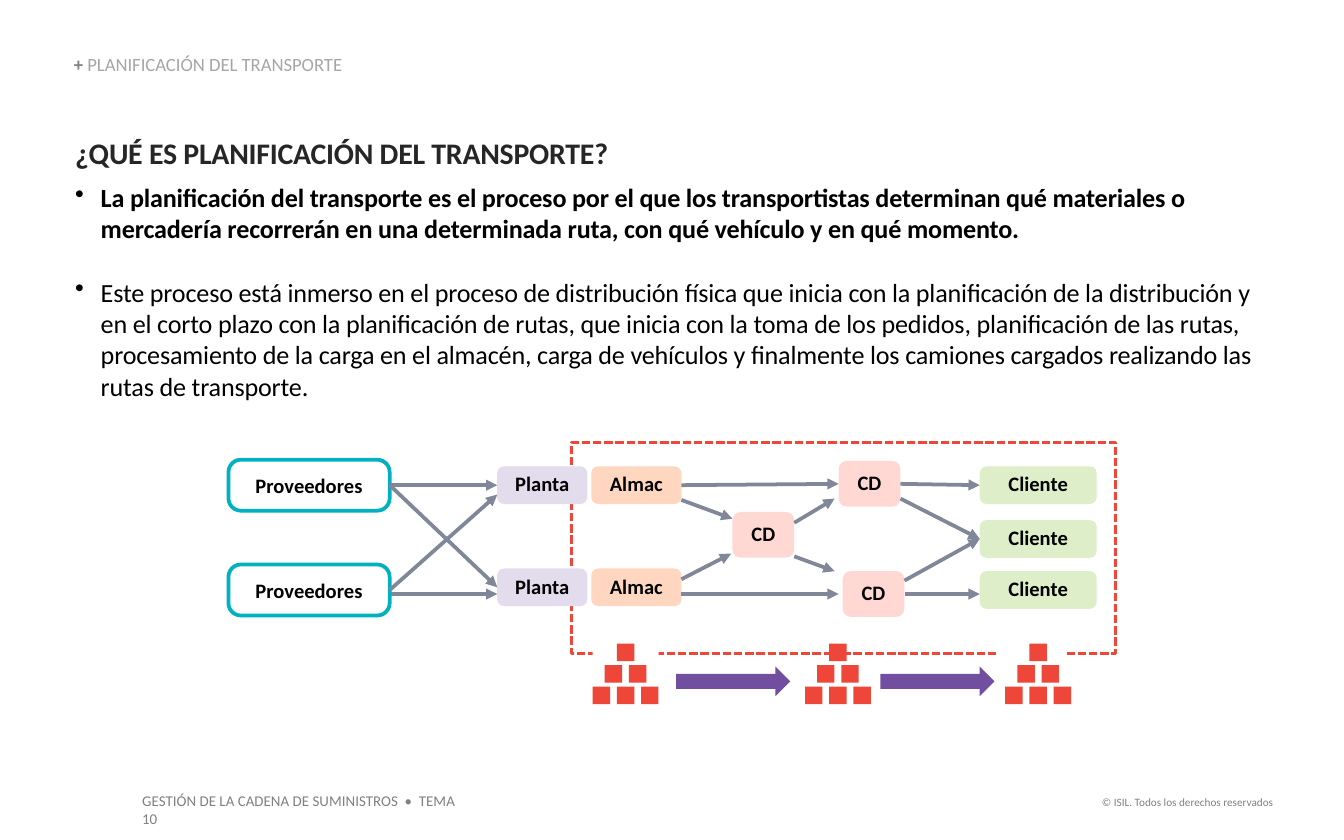
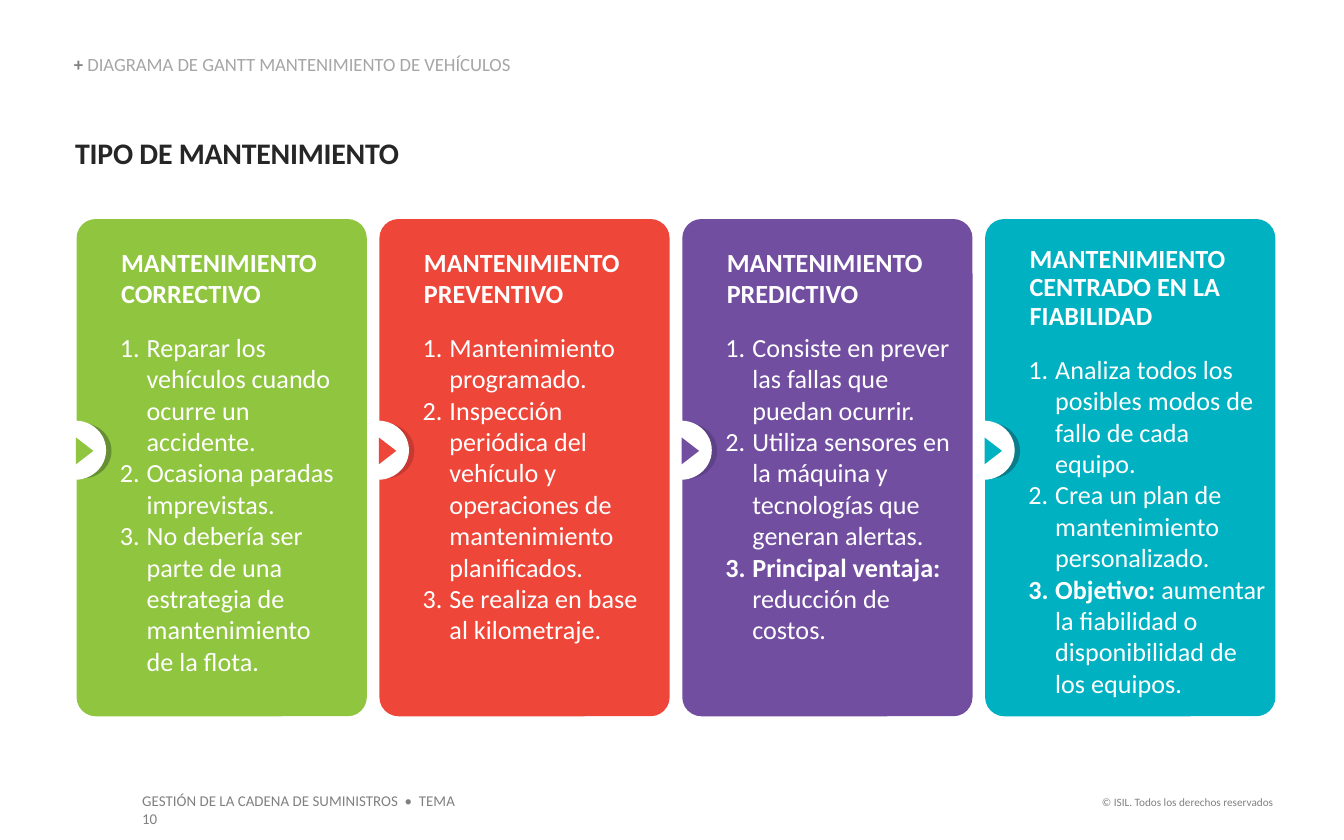
from dataclasses import dataclass
from typing import Optional, Union

from lxml.etree import SubElement
from pptx import Presentation
from pptx.dml.color import RGBColor
from pptx.enum.dml import MSO_LINE
from pptx.enum.shapes import MSO_CONNECTOR, MSO_SHAPE
from pptx.enum.text import MSO_ANCHOR, PP_ALIGN
from pptx.oxml.ns import qn
from pptx.util import Inches, Pt


@dataclass(frozen=True)
class Theme:
    font: str = "Calibri"
    white: str = "FFFFFF"
    black: str = "000000"
    title: str = "262626"
    grey: str = "808080"
    light_grey: str = "A6A6A6"
    red: str = "EE4639"
    purple: str = "714EA0"
    teal: str = "00B1C2"
    green: str = "8FC53F"
    link: str = "808799"
    plant: str = "E3DCED"
    store: str = "FFD7C1"
    center: str = "FFD8D4"
    client: str = "DDEEC8"
    title_size: float = 16
    body_size: float = 14
    node_size: float = 11
    header_size: float = 10
    footer_size: float = 8
    copyright_size: float = 6


THEME = Theme()


@dataclass(frozen=True)
class Node:
    label: str
    left: float
    top: float
    width: float
    height: float
    fill: str
    line: Optional[str] = None
    rounding: float = 0.18
    line_spacing: float = 0.9


# A link end is a node name (middle of its side) or a free point
End = Union[str, tuple[float, float]]


@dataclass(frozen=True)
class Link:
    start: End
    end: End


@dataclass(frozen=True)
class Item:
    text: str
    lead: str = ""


@dataclass(frozen=True)
class Card:
    title: str
    fill: str
    shade: str
    items: tuple[Item, ...]
    title_spacing: float = 1.0


def supplier(top: float) -> Node:
    return Node("Proveedores", 1.7, top, 1.2, 0.38, THEME.white, THEME.teal, 0.245, 1.0)


def plant(top: float) -> Node:
    return Node("Planta", 3.7, top, 0.67, 0.28, THEME.plant)


def store(top: float) -> Node:
    return Node("Almac", 4.4, top, 0.67, 0.28, THEME.store)


def center(left: float, top: float) -> Node:
    return Node("CD", left, top, 0.46, 0.34, THEME.center)


def client(top: float) -> Node:
    return Node("Cliente", 7.29, top, 0.87, 0.28, THEME.client)


NODES = {
    "supplier_1": supplier(3.42), "supplier_2": supplier(4.2),
    "plant_1": plant(3.47), "plant_2": plant(4.23),
    "store_1": store(3.47), "store_2": store(4.23),
    "center_top": center(6.24, 3.43), "center_bottom": center(6.27, 4.25),
    "center_middle": center(5.45, 3.81),
    "client_1": client(3.47), "client_2": client(3.87), "client_3": client(4.25),
}

LINKS = (
    Link("supplier_1", "plant_1"),
    Link("supplier_1", "plant_2"),
    Link("supplier_2", (3.7, 3.68)),
    Link((2.91, 4.42), (3.7, 4.42)),
    Link("store_1", "center_top"),
    Link((5.07, 3.72), (5.45, 3.86)),
    Link((5.07, 4.31), (5.44, 4.12)),
    Link((5.07, 4.42), (6.24, 4.42)),
    Link((5.91, 3.89), (6.21, 3.71)),
    Link((5.91, 4.14), (6.21, 4.25)),
    Link("center_top", "client_1"),
    Link((6.7, 3.71), "client_2"),
    Link((6.73, 4.32), "client_2"),
    Link("center_bottom", (7.29, 4.42)),
)

CARDS = (
    Card("MANTENIMIENTO CORRECTIVO", THEME.green, "668E32", (
        Item("Reparar los vehículos cuando ocurre un accidente."),
        Item("Ocasiona paradas imprevistas."),
        Item("No debería ser parte de una estrategia de mantenimiento \nde la flota."))),
    Card("MANTENIMIENTO PREVENTIVO", THEME.red, "C73931", (
        Item("Mantenimiento programado."),
        Item("Inspección periódica del vehículo y operaciones de mantenimiento planificados."),
        Item("Se realiza en base \nal kilometraje."))),
    Card("MANTENIMIENTO PREDICTIVO", THEME.purple, "5E4287", (
        Item("Consiste en prever las fallas que puedan ocurrir."),
        Item("Utiliza sensores en la máquina y tecnologías que generan alertas."),
        Item("reducción de costos.", "Principal ventaja: "))),
    Card("MANTENIMIENTO CENTRADO EN LA FIABILIDAD", THEME.teal, "0B7C8A", (
        Item("Analiza todos los posibles modos de fallo de cada equipo."),
        Item("Crea un plan de mantenimiento personalizado."),
        Item("aumentar la fiabilidad o disponibilidad de los equipos.", "Objetivo: ")), 0.9),
)
CARD_LEFT, CARD_TOP, CARD_PITCH = 0.57, 1.63, 6.76 / 3


# Text helpers
def format_run(run, size: float, color: str, bold: bool = False, spacing: int = 0) -> None:
    run.font.name = THEME.font
    run.font.size = Pt(size)
    run.font.bold = bold
    run.font.color.rgb = RGBColor.from_string(color)
    if spacing:
        run._r.get_or_add_rPr().set("spc", str(spacing))


def set_text(paragraph, text: str, size: float, color: str, bold: bool = False,
             spacing: int = 0) -> None:
    paragraph.text = text
    for run in paragraph.runs:
        format_run(run, size, color, bold, spacing)
    for line_break in paragraph._p.findall(qn("a:br")):
        SubElement(line_break, qn("a:rPr")).set("sz", str(int(size * 100)))


def set_indent(paragraph, left: float, first: float = 0) -> None:
    properties = paragraph._p.get_or_add_pPr()
    properties.set("marL", str(Inches(left)))
    properties.set("indent", str(Inches(first)))


def set_bullet(paragraph, tag: str, attribute: str, value: str) -> None:
    SubElement(paragraph._p.get_or_add_pPr(), qn(tag)).set(attribute, value)


def add_text_frame(slide, left: float, top: float, width: float, height: float,
                   inset: bool = False):
    box = slide.shapes.add_textbox(Inches(left), Inches(top), Inches(width), Inches(height))
    frame = box.text_frame
    frame.word_wrap = True
    if not inset:
        frame.margin_left = frame.margin_right = frame.margin_top = frame.margin_bottom = 0
    return frame


# Shape helper
def add_shape(shapes, kind: MSO_SHAPE, left: float, top: float, width: float, height: float,
              fill: Optional[str], line: Optional[str] = None, line_width: float = 2):
    shape = shapes.add_shape(kind, Inches(left), Inches(top), Inches(width), Inches(height))
    shape.shadow.inherit = False
    if fill:
        shape.fill.solid()
        shape.fill.fore_color.rgb = RGBColor.from_string(fill)
    else:
        shape.fill.background()
    if line:
        shape.line.color.rgb = RGBColor.from_string(line)
        shape.line.width = Pt(line_width)
    else:
        shape.line.fill.background()
    return shape


# Shared frame of every slide: footers, header and title
def add_slide(presentation, header: str, title: str, body_height: float):
    slide = presentation.slides.add_slide(presentation.slide_layouts[6])
    rights = add_text_frame(slide, 7.88, 5.87, 1.69, 0.2, inset=True).paragraphs[0]
    set_text(rights, "© ISIL. Todos los derechos reservados", THEME.copyright_size, THEME.grey)
    rights.alignment = PP_ALIGN.RIGHT
    course = add_text_frame(slide, 0.96, 5.84, 2.66, 0.24, inset=True).paragraphs[0]
    set_text(course, "GESTIÓN DE LA CADENA DE SUMINISTROS  •  TEMA 10", THEME.footer_size, THEME.grey)

    header_frame = add_text_frame(slide, 0.55, 0.41, 4.65, 0.15)
    header_frame.vertical_anchor = MSO_ANCHOR.BOTTOM
    paragraph = header_frame.paragraphs[0]
    paragraph.line_spacing = 0.9
    set_text(paragraph, "+ ", THEME.header_size, THEME.grey, bold=True)
    name = paragraph.add_run()
    name.text = header
    format_run(name, THEME.header_size, THEME.light_grey)

    body = add_text_frame(slide, 0.55, 1, 8.8, body_height)
    set_text(body.paragraphs[0], title, THEME.title_size, THEME.title, bold=True, spacing=-10)
    set_indent(body.paragraphs[0], 0.01)
    return slide, body


# Supply network
def add_node(slide, node: Node):
    shape = add_shape(slide.shapes, MSO_SHAPE.ROUNDED_RECTANGLE, node.left, node.top,
                      node.width, node.height, node.fill, node.line)
    shape.adjustments[0] = node.rounding
    shape.text_frame.vertical_anchor = MSO_ANCHOR.MIDDLE
    paragraph = shape.text_frame.paragraphs[0]
    set_text(paragraph, node.label, THEME.node_size, THEME.black, bold=True)
    paragraph.alignment = PP_ALIGN.CENTER
    paragraph.line_spacing = node.line_spacing
    return shape


def add_link(slide, link: Link, shapes: dict) -> None:
    start = (0, 0) if isinstance(link.start, str) else link.start
    end = (0, 0) if isinstance(link.end, str) else link.end
    connector = slide.shapes.add_connector(
        MSO_CONNECTOR.STRAIGHT, *(Inches(value) for value in (*start, *end)))
    if isinstance(link.start, str):
        connector.begin_connect(shapes[link.start], 3)
    if isinstance(link.end, str):
        connector.end_connect(shapes[link.end], 1)
    connector.line.color.rgb = RGBColor.from_string(THEME.link)
    connector.line.width = Pt(2)
    SubElement(connector.line._get_or_add_ln(), qn("a:tailEnd")).set("type", "triangle")
    SubElement(connector._element.spPr, qn("a:effectLst"))


def add_box_pile(slide, left: float) -> None:
    group = slide.shapes.add_group_shape()
    for row in range(3):
        for column in range(row + 1):
            add_shape(group.shapes, MSO_SHAPE.RECTANGLE, left + 0.09 * (2 - row) + 0.18 * column,
                      4.79 + 0.16 * row, 0.13, 0.13, THEME.red)


def build_planning(presentation) -> None:
    slide, body = add_slide(presentation, "PLANIFICACIÓN DEL TRANSPORTE",
                            "¿QUÉ ES PLANIFICACIÓN DEL TRANSPORTE?", 2)
    body.paragraphs[0].space_after = Pt(6)
    points = (
        ("La planificación del transporte es el proceso por el que los transportistas determinan qué materiales o mercadería recorrerán en una determinada ruta, con qué vehículo y en qué momento.", True, 17),
        ("Este proceso está inmerso en el proceso de distribución física que inicia con la planificación de la distribución y en el corto plazo con la planificación de rutas, que inicia con la toma de los pedidos, planificación de las rutas, procesamiento de la carga en el almacén, carga de vehículos y finalmente los camiones cargados realizando las rutas de transporte.", False, 0),
    )
    for text, bold, space_after in points:
        paragraph = body.add_paragraph()
        set_bullet(paragraph, "a:buChar", "char", "•")
        set_indent(paragraph, 0.2, -0.19)
        set_text(paragraph, text, THEME.body_size, THEME.black, bold, -10)
        paragraph.space_after = Pt(space_after)

    # Dashed scope, opened where the outer box piles stand
    scope = add_shape(slide.shapes, MSO_SHAPE.RECTANGLE, 4.25, 3.29, 4.05, 1.57, None, THEME.red, 1.5)
    scope.line.dash_style = MSO_LINE.SQUARE_DOT
    for left in (4.41, 7.43):
        add_shape(slide.shapes, MSO_SHAPE.RECTANGLE, left, 4.79, 0.49, 0.49, THEME.white)

    shapes = {name: add_node(slide, node) for name, node in NODES.items()}
    for link in LINKS:
        add_link(slide, link, shapes)
    for left in (4.41, 5.99, 7.48):
        add_box_pile(slide, left)
    for left in (5.03, 6.55):
        add_shape(slide.shapes, MSO_SHAPE.RIGHT_ARROW, left, 4.96, 0.85, 0.22, THEME.purple)


# Maintenance cards
def add_card(slide, card: Card, left: float) -> None:
    panel = add_shape(slide.shapes, MSO_SHAPE.ROUNDED_RECTANGLE, left, CARD_TOP, 2.16, 3.7, card.fill)
    panel.adjustments[0] = 0.066
    frame = panel.text_frame
    frame.vertical_anchor = MSO_ANCHOR.TOP
    frame.margin_left, frame.margin_top = Inches(0.28), Inches(0.16)
    frame.margin_right, frame.margin_bottom = 0, Inches(0.05)
    title = frame.paragraphs[0]
    set_text(title, card.title, THEME.body_size, THEME.white, bold=True)
    set_indent(title, 0.01)
    title.line_spacing = card.title_spacing
    title.space_after = Pt(12)
    title.alignment = PP_ALIGN.LEFT
    for item in card.items:
        paragraph = frame.add_paragraph()
        set_bullet(paragraph, "a:buAutoNum", "type", "arabicPeriod")
        set_indent(paragraph, 0.2, -0.2)
        paragraph.alignment = PP_ALIGN.LEFT
        set_text(paragraph, item.lead or item.text, THEME.body_size, THEME.white, bool(item.lead))
        if item.lead:
            rest = paragraph.add_run()
            rest.text = item.text
            format_run(rest, THEME.body_size, THEME.white)

    # Notch with its shade and pointer
    add_shape(slide.shapes, MSO_SHAPE.OVAL, left - 0.17, 3.15, 0.43, 0.41, card.shade)
    add_shape(slide.shapes, MSO_SHAPE.OVAL, left - 0.24, 3.13, 0.46, 0.44, THEME.white)
    pointer = add_shape(slide.shapes, MSO_SHAPE.ISOSCELES_TRIANGLE, left - 0.04, 3.29, 0.2, 0.13, card.fill)
    pointer.rotation = 90


def build_maintenance(presentation) -> None:
    slide, _ = add_slide(presentation, "DIAGRAMA DE GANTT MANTENIMIENTO DE VEHÍCULOS",
                         "TIPO DE MANTENIMIENTO", 0.27)
    # Right to left, so each card covers the notch of its neighbour
    for index, card in reversed(list(enumerate(CARDS))):
        add_card(slide, card, CARD_LEFT + CARD_PITCH * index)


def main() -> None:
    presentation = Presentation()
    presentation.slide_width, presentation.slide_height = Inches(10), Inches(6.25)
    build_planning(presentation)
    build_maintenance(presentation)
    presentation.save("out.pptx")


if __name__ == "__main__":
    main()
